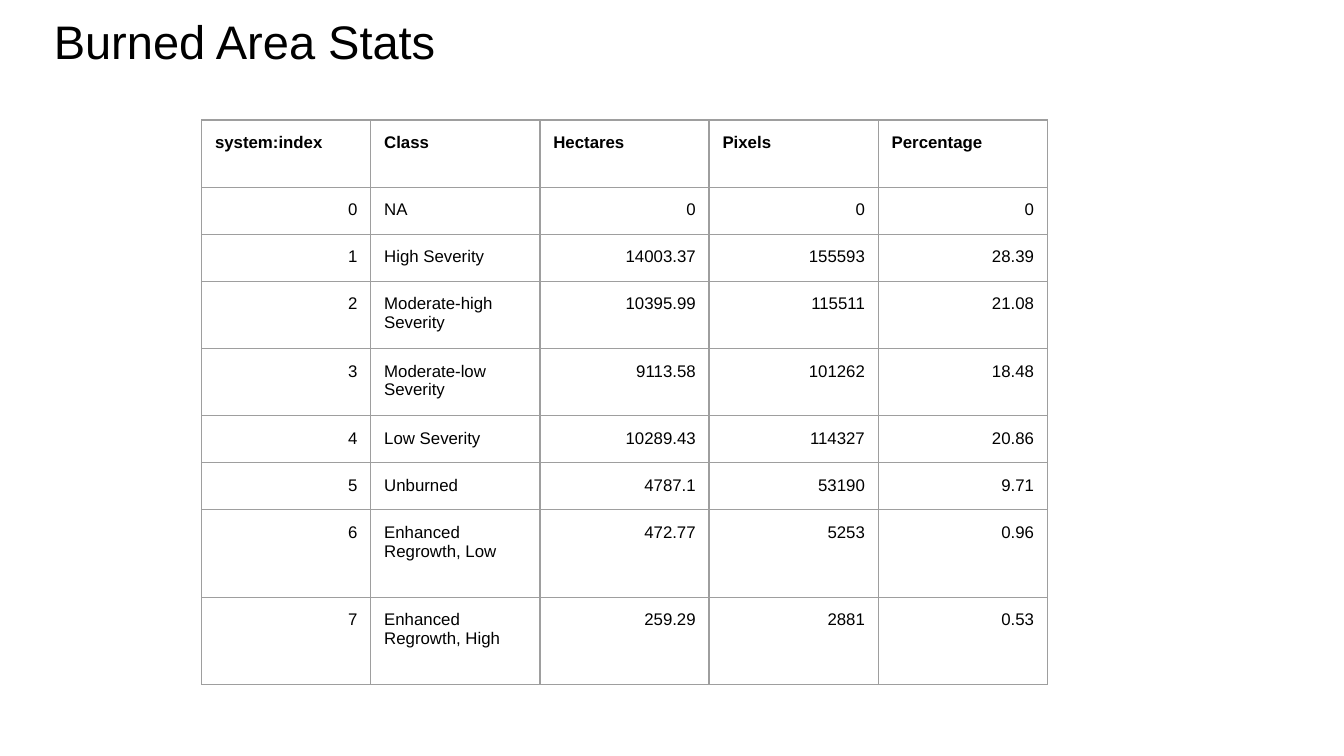
import pptx
import pptx.dml.color
import pptx.enum.text
import pptx.oxml
import pptx.oxml.ns
import pptx.util

TITLE = "Burned Area Stats"
HEADER = ("system:index", "Class", "Hectares", "Pixels", "Percentage")
CLASSES = [
    ("0", "NA", "0", "0", "0"),
    ("1", "High Severity", "14003.37", "155593", "28.39"),
    ("2", "Moderate-high Severity", "10395.99", "115511", "21.08"),
    ("3", "Moderate-low Severity", "9113.58", "101262", "18.48"),
    ("4", "Low Severity", "10289.43", "114327", "20.86"),
    ("5", "Unburned", "4787.1", "53190", "9.71"),
    ("6", "Enhanced Regrowth, Low", "472.77", "5253", "0.96"),
    ("7", "Enhanced Regrowth, High", "259.29", "2881", "0.53"),
]
CLASS_COLUMN = HEADER.index("Class")

THEME = {
    "font": "Arial",
    "text": "000000",
    "border": "9E9E9E",
    "title_size": 25.2,
    "table_size": 9,
}
PAGE_SIZE = (720, 405)
TITLE_BOX = (23.76, 10.08, 620.64, 27.36)
TABLE_ORIGIN = (108, 64.3)
COLUMN_WIDTH = 90.65
ROW_HEIGHTS = (36, 25.2, 25.2, 36, 36, 25.2, 25.2, 46.8, 46.8)
CELL_MARGIN = 7.2
BORDER_WIDTH = 0.75

Pt = pptx.util.Pt
ALIGN = pptx.enum.text.PP_ALIGN
ANCHOR = pptx.enum.text.MSO_ANCHOR


def style(paragraph, size, bold, align):
    paragraph.alignment = align
    font = paragraph.font
    font.name = THEME["font"]
    font.size = Pt(size)
    font.bold = bold
    font.color.rgb = pptx.dml.color.RGBColor.from_string(THEME["text"])


def set_margins(target, horizontal, vertical):
    target.margin_left = target.margin_right = Pt(horizontal)
    target.margin_top = target.margin_bottom = Pt(vertical)


def add_borders(cell):
    properties = cell._tc.get_or_add_tcPr()
    for position, side in enumerate("LRTB"):
        line = pptx.oxml.parse_xml(
            f'<a:ln{side} {pptx.oxml.ns.nsdecls("a")} w="{Pt(BORDER_WIDTH)}">'
            f'<a:solidFill><a:srgbClr val="{THEME["border"]}"/></a:solidFill>'
            f'</a:ln{side}>'
        )
        properties.insert(position, line)


def add_title(page):
    box = page.shapes.title
    box.left, box.top, box.width, box.height = map(Pt, TITLE_BOX)
    frame = box.text_frame
    frame.text = TITLE
    frame.word_wrap = True
    frame.auto_size = pptx.enum.text.MSO_AUTO_SIZE.NONE
    frame.vertical_anchor = ANCHOR.MIDDLE
    set_margins(frame, 5.04, 2.88)
    paragraph = frame.paragraphs[0]
    paragraph.line_spacing = 0.9
    style(paragraph, THEME["title_size"], False, ALIGN.LEFT)


def add_stats(page):
    rows = [HEADER, *CLASSES]
    size = (COLUMN_WIDTH * len(HEADER), sum(ROW_HEIGHTS))
    table = page.shapes.add_table(
        len(rows), len(HEADER), *map(Pt, TABLE_ORIGIN + size)
    ).table
    table.first_row = table.horz_banding = False
    for column in table.columns:
        column.width = Pt(COLUMN_WIDTH)
    for row_index, (values, height) in enumerate(zip(rows, ROW_HEIGHTS)):
        table.rows[row_index].height = Pt(height)
        is_header = row_index == 0
        for column_index, value in enumerate(values):
            cell = table.cell(row_index, column_index)
            cell.text = value
            cell.fill.background()
            cell.vertical_anchor = ANCHOR.TOP
            set_margins(cell, CELL_MARGIN, CELL_MARGIN)
            add_borders(cell)
            is_text = is_header or column_index == CLASS_COLUMN
            align = ALIGN.LEFT if is_text else ALIGN.RIGHT
            style(cell.text_frame.paragraphs[0], THEME["table_size"], is_header, align)


def main():
    deck = pptx.Presentation()
    deck.slide_width, deck.slide_height = map(Pt, PAGE_SIZE)
    page = deck.slides.add_slide(deck.slide_layouts.get_by_name("Title Only"))
    add_title(page)
    add_stats(page)
    deck.save("out.pptx")


if __name__ == "__main__":
    main()
